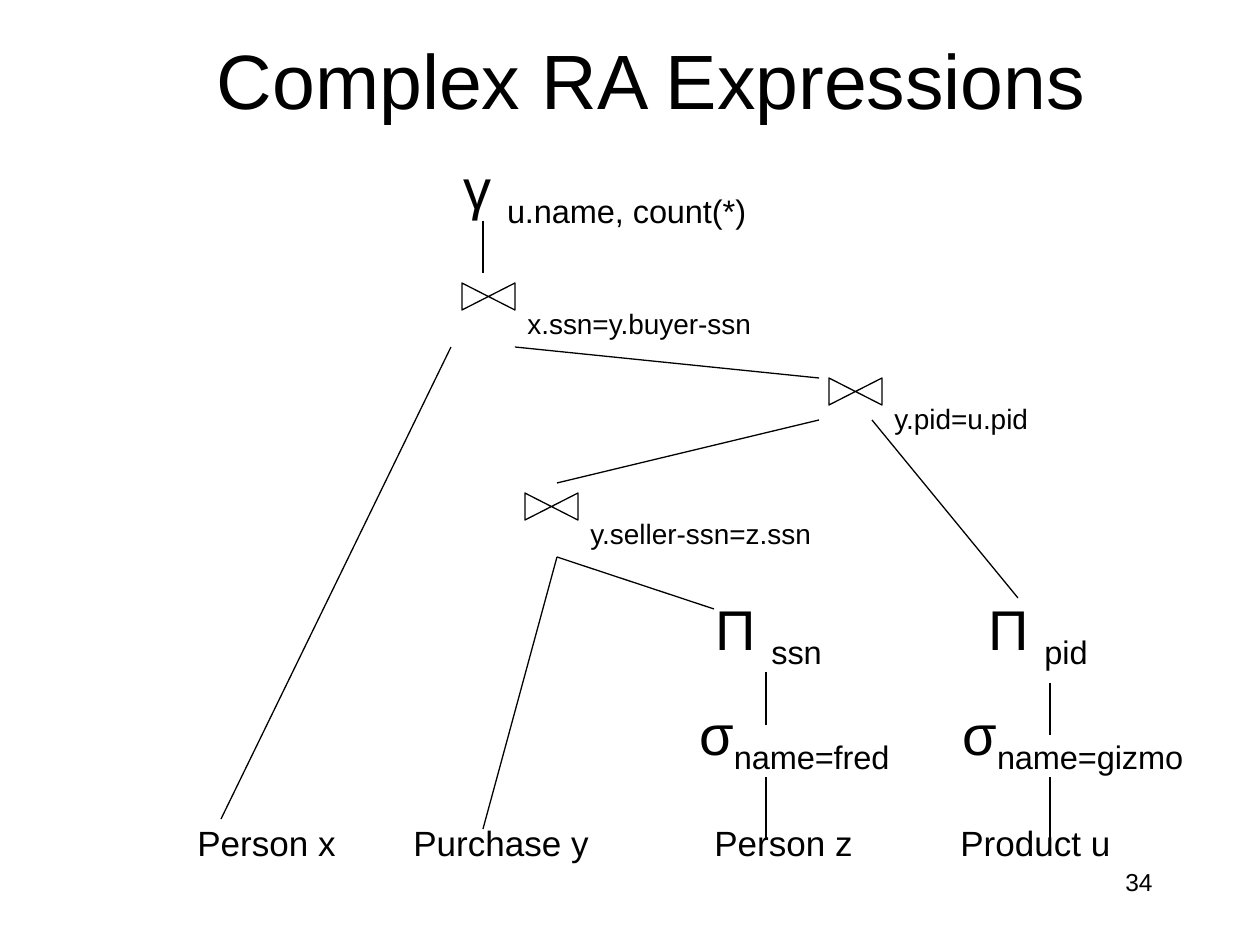
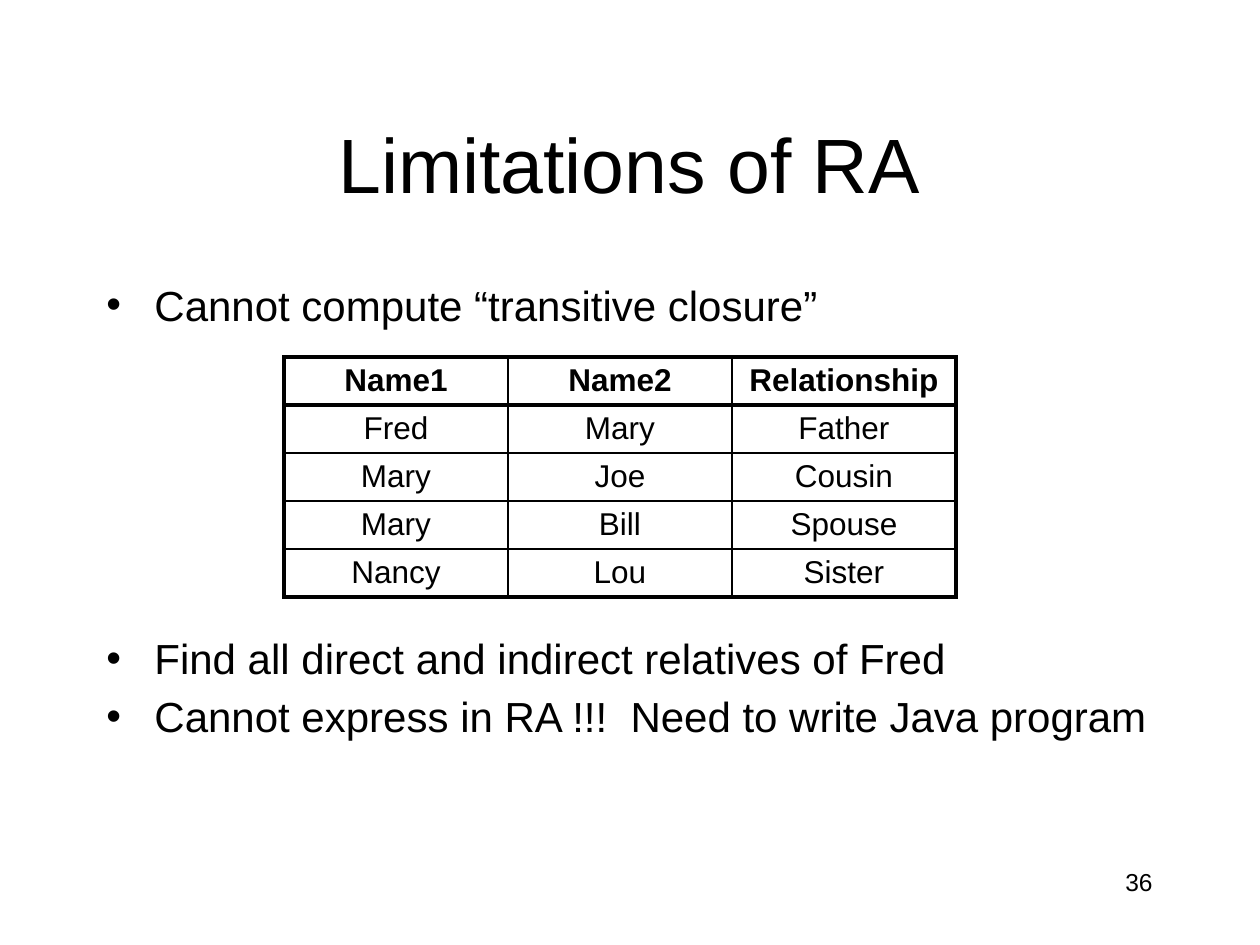
from dataclasses import dataclass

import pptx
import pptx.dml.color
import pptx.enum.shapes
import pptx.enum.text
import pptx.oxml.ns
import pptx.util
from lxml import etree

EMU_PER_PX = 914400 / 126
ALIGN = pptx.enum.text.PP_ALIGN
ANCHOR = pptx.enum.text.MSO_ANCHOR


@dataclass(frozen=True)
class Theme:
    """Colours, font, type sizes and line widths in points."""
    ink: pptx.dml.color.RGBColor = pptx.dml.color.RGBColor(0, 0, 0)
    font: str = "Arial"
    title: int = 44
    operator: int = 32
    bullet: int = 24
    relation: int = 20
    cell: int = 18
    condition: int = 16
    number: int = 14
    edge: float = 0.75
    thin: float = 1
    heavy: float = 2.25


@dataclass(frozen=True)
class Box:
    """A region in px."""
    left: int
    top: int
    width: int
    height: int

    def inner(self, left, top, width, height):
        """Return a box placed relative to this one."""
        return Box(self.left + left, self.top + top, width, height)

    def emu(self):
        """Return left, top, width and height in EMU."""
        return [px(value) for value in (self.left, self.top, self.width, self.height)]


THEME = Theme()
NUMBER_BOX = Box(903, 861, 262, 63)

OPERATORS = [
    ("γ ", "u.name, count(*)", 269, 0, 345),
    ("Π ", "ssn", 521, 441, 150),
    ("Π ", "pid", 794, 441, 150),
    ("σ", "name=fred", 505, 546, 240),
    ("σ", "name=gizmo", 768, 546, 270),
]
JOINS = [
    ("x.ssn=y.buyer-ssn", 280, 136),
    ("y.pid=u.pid", 647, 231),
    ("y.seller-ssn=z.ssn", 343, 346),
]
RELATIONS = [("Person x", 3), ("Purchase y", 219), ("Person z", 520), ("Product u", 766)]
EDGES = [
    (301, 74, 301, 126),
    (269, 200, 39, 672),
    (333, 200, 637, 231),
    (637, 273, 375, 336),
    (690, 273, 836, 451),
    (375, 410, 301, 682),
    (375, 410, 532, 462),
    (584, 525, 584, 578),
    (868, 536, 868, 588),
    (584, 630, 584, 693),
    (868, 630, 868, 693),
]
RELATIVES = [
    ("Name1", "Name2", "Relationship"),
    ("Fred", "Mary", "Father"),
    ("Mary", "Joe", "Cousin"),
    ("Mary", "Bill", "Spouse"),
    ("Nancy", "Lou", "Sister"),
]
BULLETS = [
    ("Cannot compute “transitive closure”", 0),
    ("Find all direct and indirect relatives of Fred", 303),
    ("Cannot express in RA !!!  Need to write Java program", 8),
]


def px(value):
    """Turn px into EMU."""
    return pptx.util.Emu(round(value * EMU_PER_PX))


def format_paragraph(paragraph, size, align=ALIGN.LEFT, bold=False):
    """Align a paragraph and format its runs."""
    paragraph.alignment = align
    for run in paragraph.runs:
        run.font.name = THEME.font
        run.font.size = pptx.util.Pt(size)
        run.font.bold = bold
        run.font.color.rgb = THEME.ink


def add_text(slide, box, text, size, align=ALIGN.LEFT, anchor=ANCHOR.TOP, wrap=True):
    """Add a one-paragraph text box and return its paragraph."""
    frame = slide.shapes.add_textbox(*box.emu()).text_frame
    frame.word_wrap = wrap
    frame.vertical_anchor = anchor
    frame.text = text
    format_paragraph(frame.paragraphs[0], size, align)
    return frame.paragraphs[0]


def add_base(presentation, title, title_box, number):
    """Add a blank slide with its title and number."""
    slide = presentation.slides.add_slide(presentation.slide_layouts[6])
    add_text(slide, title_box, title, THEME.title, ALIGN.CENTER, ANCHOR.MIDDLE)
    add_text(slide, NUMBER_BOX, str(number), THEME.number, ALIGN.RIGHT)
    return slide


def add_operator(slide, box, symbol, subscript):
    """Add an operator symbol with its subscript."""
    paragraph = add_text(slide, box, symbol, THEME.operator, wrap=False)
    run = paragraph.add_run()
    run.text = subscript
    run._r.get_or_add_rPr().set("baseline", "-25000")
    format_paragraph(paragraph, THEME.operator)


def add_join(slide, box, condition):
    """Add a bow tie filling the box and its condition below right."""
    shift = (box.width - box.height) // 2
    upright = box.inner(shift, -shift, box.height, box.width)
    bow_tie = slide.shapes.add_shape(
        pptx.enum.shapes.MSO_SHAPE.FLOWCHART_COLLATE, *upright.emu())
    bow_tie.rotation = 270
    bow_tie.shadow.inherit = False
    bow_tie.fill.background()
    bow_tie.line.color.rgb = THEME.ink
    bow_tie.line.width = pptx.util.Pt(THEME.edge)
    add_text(slide, box.inner(box.width, 17, 252, 46), condition,
             THEME.condition, wrap=False)


def add_edge(slide, box, start_x, start_y, end_x, end_y):
    """Add a straight tree edge between two points of the box."""
    edge = slide.shapes.add_connector(
        pptx.enum.shapes.MSO_CONNECTOR.STRAIGHT,
        px(box.left + start_x), px(box.top + start_y),
        px(box.left + end_x), px(box.top + end_y))
    edge.line.color.rgb = THEME.ink
    edge.line.width = pptx.util.Pt(THEME.edge)
    etree.SubElement(edge._element.spPr, pptx.oxml.ns.qn("a:effectLst"))


def add_expression_tree(slide, box):
    """Draw the algebra expression as a tree inside the box."""
    for name, left in RELATIONS:
        add_text(slide, box.inner(left, 668, 202, 53), name, THEME.relation)
    for symbol, subscript, left, top, width in OPERATORS:
        add_operator(slide, box.inner(left, top, width, 79), symbol, subscript)
    for condition, left, top in JOINS:
        add_join(slide, box.inner(left, top, 53, 27), condition)
    for edge in EDGES:
        add_edge(slide, box, *edge)


def add_bullets(slide, box):
    """Add the bullet list, leaving the gap that the table takes."""
    frame = slide.shapes.add_textbox(*box.emu()).text_frame
    frame.word_wrap = True
    frame.text = "\n".join(text for text, gap in BULLETS)
    for paragraph, (text, gap) in zip(frame.paragraphs, BULLETS):
        format_paragraph(paragraph, THEME.bullet)
        paragraph.space_before = px(gap)
        properties = paragraph._p.get_or_add_pPr()
        properties.set("marL", str(px(48)))
        properties.set("indent", str(-px(48)))
        etree.SubElement(properties, pptx.oxml.ns.qn("a:buFont"), typeface=THEME.font)
        etree.SubElement(properties, pptx.oxml.ns.qn("a:buChar"), char="•")


def set_borders(cell, heavy_sides):
    """Draw the four borders of a cell, heavy on the sides named."""
    properties = cell._tc.get_or_add_tcPr()
    for side in "LRTB":
        width = THEME.heavy if side in heavy_sides else THEME.thin
        line = etree.SubElement(properties, pptx.oxml.ns.qn(f"a:ln{side}"),
                                w=str(pptx.util.Pt(width)))
        fill = etree.SubElement(line, pptx.oxml.ns.qn("a:solidFill"))
        etree.SubElement(fill, pptx.oxml.ns.qn("a:srgbClr"), val=str(THEME.ink))


def add_relatives_table(slide, box):
    """Add the table of relatives with a heavy frame and header rule."""
    last_row, last_column = len(RELATIVES) - 1, len(RELATIVES[0]) - 1
    table = slide.shapes.add_table(last_row + 1, last_column + 1, *box.emu()).table
    table.first_row = table.horz_banding = False
    for row, names in enumerate(RELATIVES):
        for column, name in enumerate(names):
            cell = table.cell(row, column)
            cell.text = name
            cell.vertical_anchor = ANCHOR.MIDDLE
            cell.margin_top = cell.margin_bottom = px(4)
            format_paragraph(cell.text_frame.paragraphs[0], THEME.cell,
                             ALIGN.CENTER, bold=row == 0)
            heavy = {"L": column == 0, "R": column == last_column,
                     "T": row <= 1, "B": row in (0, last_row)}
            set_borders(cell, [side for side in heavy if heavy[side]])
            cell.fill.background()


def main():
    """Build both slides and save them."""
    presentation = pptx.Presentation()
    presentation.slide_width, presentation.slide_height = px(1260), px(945)
    slide = add_base(presentation, "Complex RA Expressions", Box(116, 0, 1071, 158), 34)
    add_expression_tree(slide, Box(182, 147, 1038, 722))
    slide = add_base(presentation, "Limitations of RA", Box(94, 84, 1071, 158), 36)
    add_bullets(slide, Box(94, 273, 1092, 567))
    add_relatives_table(slide, Box(284, 357, 672, 240))
    presentation.save("out.pptx")


if __name__ == "__main__":
    main()
